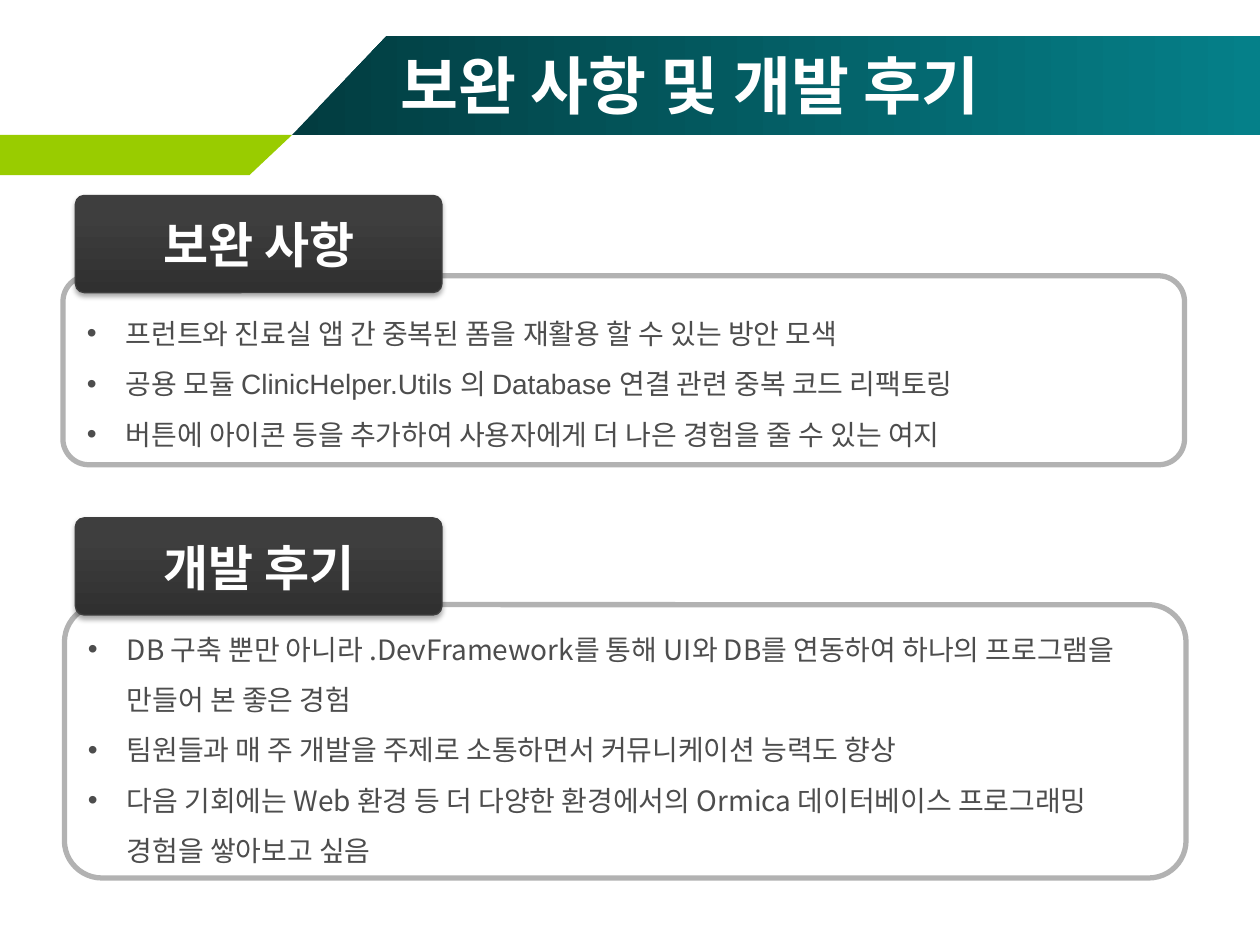
"""Build the slide on remaining improvements and development reflections."""
from lxml.etree import SubElement
from pptx import Presentation
from pptx.dml.color import RGBColor
from pptx.enum.shapes import MSO_SHAPE as SHAPE
from pptx.enum.text import MSO_ANCHOR as ANCHOR, MSO_AUTO_SIZE as FIT, PP_ALIGN as ALIGN
from pptx.oxml.ns import qn
from pptx.util import Cm, Pt

THEME = dict(
    sans="Noto Sans CJK KR", latin="Arial",
    title=36, heading=28, body=16,
    white="FFFFFF", text="4D4D4D", border="B2B2B2", tab_line="3F3F3F",
    tab=("303030", "3E3E3E"), banner=("023C40", "058089"), accent="99CC00",
)
TITLE = "보완 사항 및 개발 후기"
BANNER = [(5.89, 2.72), (25.4, 2.72), (25.4, 0.72), (7.8, 0.72)]
ACCENT = [(0, 2.72), (5.89, 2.72), (5.03, 3.53), (0, 3.53)]
TAB_LEFT, TAB_W, TAB_H = 1.52, 7.39, 1.96
INDENT = 0.79
SECTIONS = [
    dict(
        heading="개발 후기", tab_top=10.44, box=(1.3, 12.19, 22.61, 5.51),
        text_box=None, font="sans",
        items=[
            ["DB 구축 뿐만 아니라 .DevFramework를 통해 UI와 DB를 연동하여 하나의 "
             "프로그램을 만들어 본 좋은 경험"],
            ["팀원들과 매 주 개발을 주제로 소통하면서 커뮤니케이션 능력도 향상"],
            ["다음 기회에는 Web 환경 등 더 다양한 환경에서의 Ormica 데이터베이스 "
             "프로그래밍 경험을 쌓아보고 싶음"],
        ],
    ),
    dict(
        heading="보완 사항", tab_top=3.94, box=(1.27, 5.56, 22.61, 3.81),
        text_box=(1.5, 5.92, 19.81, 3.2), font="latin",
        items=[
            ["프런트와 진료실 앱 간 중복된 폼을 ", "재활용", " 할 수 있는 방안 모색"],
            ["공용 모듈 ClinicHelper.Utils 의 Database 연결 관련 중복 코드 리팩토링"],
            ["버튼에 아이콘 등을 추가하여 사용자에게 더 나은 경험을 줄 수 있는 여지"],
        ],
    ),
]


def rgb(name):
    return RGBColor.from_string(THEME.get(name, name))


def cm(values):
    return [Cm(v) for v in values]


def add_run(p, text, size, color, font="sans", bold=False):
    r = p.add_run()
    r.text = text
    r.font.size, r.font.bold, r.font.name = Pt(THEME[size]), bold, THEME[font]
    r.font.color.rgb = rgb(color)
    SubElement(r._r.get_or_add_rPr(), qn("a:ea"), typeface=THEME["sans"])


def fill_gradient(sp, colors, angle, end=1.0):
    sp.fill.gradient()
    sp.fill.gradient_angle = angle
    for stop, color, position in zip(sp.fill.gradient_stops, colors, (0, end)):
        stop.color.rgb = rgb(color)
        stop.position = position


def add_band(shapes, points):
    start, *rest = [cm(point) for point in points]
    builder = shapes.build_freeform(*start)
    builder.add_line_segments(rest, close=True)
    sp = builder.convert_to_shape()
    sp.shadow.inherit = False
    sp.line.fill.background()
    return sp


def add_round_rect(shapes, bounds, radius, line, width):
    sp = shapes.add_shape(SHAPE.ROUNDED_RECTANGLE, *cm(bounds))
    sp.adjustments[0] = radius
    sp.shadow.inherit = False
    sp.line.color.rgb = rgb(line)
    sp.line.width = Pt(width)
    return sp


def add_box(shapes, bounds):
    sp = add_round_rect(shapes, bounds, 0.137, "border", 3)
    sp.fill.solid()
    sp.fill.fore_color.rgb = rgb("white")
    color = sp._element.spPr.find(qn("a:solidFill"))[0]
    SubElement(color, qn("a:alpha"), val="31000")
    return sp


def add_tab(shapes, top, heading):
    sp = add_round_rect(shapes, (TAB_LEFT, top, TAB_W, TAB_H), 0.091, "tab_line", 0.75)
    fill_gradient(sp, THEME["tab"], 90, 0.8)
    effects = sp._element.spPr.find(qn("a:effectLst"))
    shadow = SubElement(effects, qn("a:outerShdw"), blurRad=str(Pt(3.1)),
                        dist=str(Pt(1.8)), dir="5400000", rotWithShape="0")
    color = SubElement(shadow, qn("a:srgbClr"), val="000000")
    SubElement(color, qn("a:alpha"), val="35000")
    tf = sp.text_frame
    tf.word_wrap, tf.vertical_anchor = False, ANCHOR.MIDDLE
    p = tf.paragraphs[0]
    p.alignment = ALIGN.CENTER
    add_run(p, heading, "heading", "white", bold=True)


def write_bullets(tf, items, font):
    tf.word_wrap = True
    for i, runs in enumerate(items):
        p = tf.add_paragraph() if i else tf.paragraphs[0]
        p.alignment, p.line_spacing = ALIGN.LEFT, 1.5
        pPr = p._p.get_or_add_pPr()
        pPr.set("marL", str(Cm(INDENT)))
        pPr.set("indent", str(-Cm(INDENT)))
        SubElement(pPr, qn("a:buFont"), typeface=THEME["latin"])
        SubElement(pPr, qn("a:buChar"), char="•")
        for j, text in enumerate(runs):
            add_run(p, text, "body", "text", "sans" if j == 1 else font)


def add_section(slide, section):
    shapes = slide.shapes.add_group_shape().shapes
    box = add_box(shapes, section["box"])
    add_tab(shapes, section["tab_top"], section["heading"])
    if section["text_box"]:
        tf = shapes.add_textbox(*cm(section["text_box"])).text_frame
        tf.auto_size = FIT.SHAPE_TO_FIT_TEXT
    else:
        tf = box.text_frame
        tf.vertical_anchor = ANCHOR.MIDDLE
    write_bullets(tf, section["items"], section["font"])


def add_title(slide):
    sp = slide.shapes.title
    sp.left, sp.top, sp.width, sp.height = cm((7.82, 0.91, 16.94, 1.57))
    slide.shapes._spTree.append(sp._element)
    tf = sp.text_frame
    tf.vertical_anchor, tf.auto_size = ANCHOR.MIDDLE, FIT.NONE
    p = tf.paragraphs[0]
    p.alignment = ALIGN.LEFT
    add_run(p, TITLE, "title", "white", bold=True)


def main():
    prs = Presentation()
    prs.slide_width, prs.slide_height = Cm(25.4), Cm(19.05)
    slide = prs.slides.add_slide(prs.slide_layouts[5])
    fill_gradient(add_band(slide.shapes, BANNER), THEME["banner"], 0)
    accent = add_band(slide.shapes, ACCENT)
    accent.fill.solid()
    accent.fill.fore_color.rgb = rgb("accent")
    add_title(slide)
    for section in SECTIONS:
        add_section(slide, section)
    prs.save("out.pptx")


if __name__ == "__main__":
    main()
